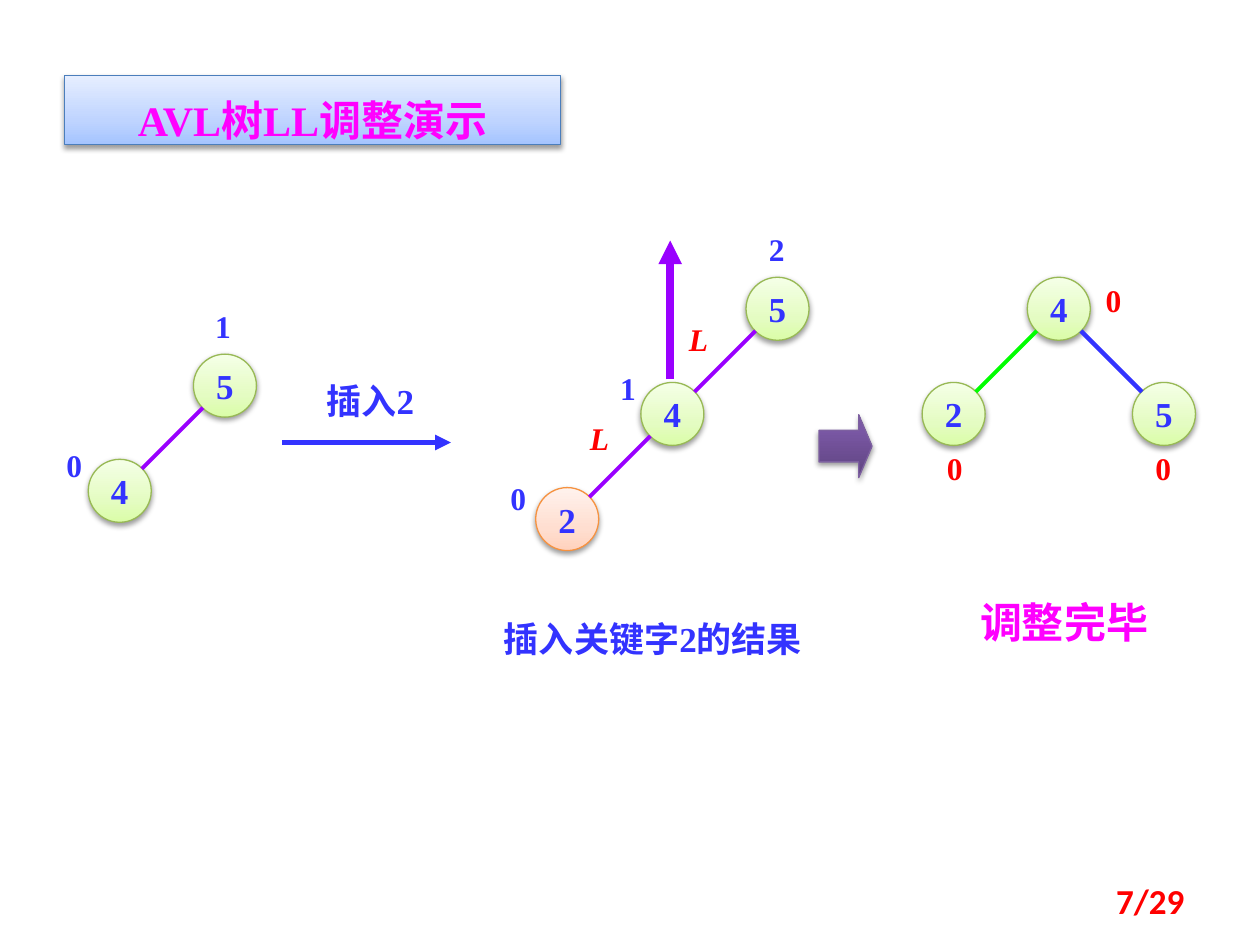
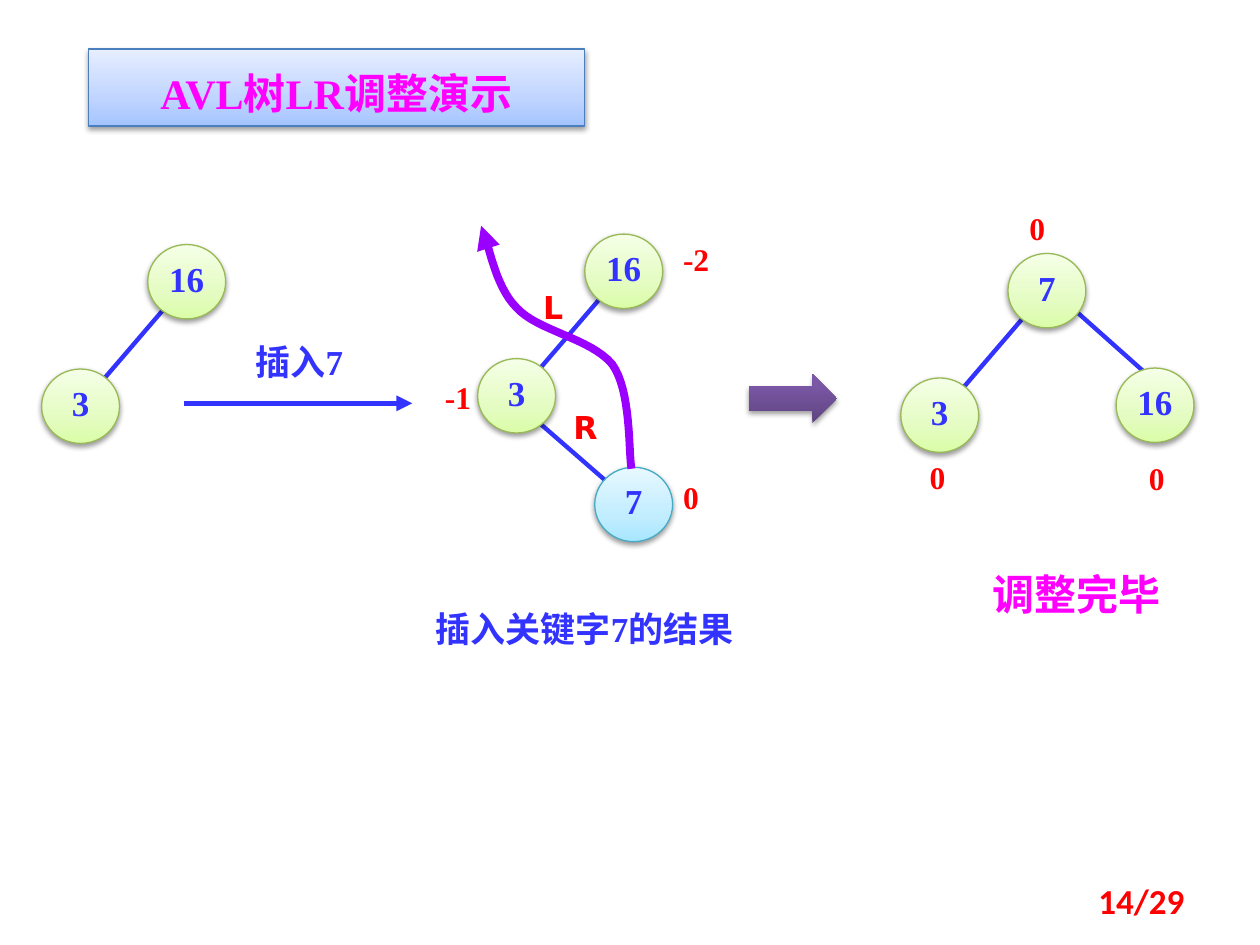
import pptx
import pptx.util
import pptx.dml.color
import pptx.enum.shapes
import pptx.enum.text
import pptx.oxml
import pptx.oxml.ns
import lxml.etree

Cm, Pt = pptx.util.Cm, pptx.util.Pt
SHAPE = pptx.enum.shapes.MSO_SHAPE
ALIGN = pptx.enum.text.PP_ALIGN
ANCHOR = pptx.enum.text.MSO_ANCHOR
AUTO = pptx.enum.text.MSO_AUTO_SIZE

COLORS = {
    "blue": "3333FF", "red": "FF0000", "magenta": "FF00FF",
    "purple": "9900FF", "green": "00FF00", "shadow": "000000",
}
GLOSS = {
    "title": ("4B7EBC", [(0, "A4C4FF"), (35, "BFD4FF"), (100, "E6EEFF")]),
    "lime": ("98B955", [(0, "DAFDA7"), (35, "E4FCC2"), (100, "F5FFE7")]),
    "peach": ("F69240", [(0, "FFD2BD"), (35, "FFDED0"), (100, "FFF2ED")]),
    "sky": ("46AAC5", [(0, "A7E6FF"), (35, "C1EDFF"), (100, "E7F8FF")]),
    "violet": ("7D60A0", [(0, "5F4480"), (80, "7B58A6"), (100, "7C57A8")]),
}
SERIF, SANS, CJK = "Times New Roman", "DejaVu Sans", "Noto Sans CJK SC"
STEP = 2.12

SMALL = {
    "size": (1.27, 1.27), "label_w": 0.79, "edges_first": False,
    "frame": {"vertical_anchor": ANCHOR.MIDDLE, "word_wrap": False},
    "para": {},
}
LARGE = {
    "size": (1.57, 1.5), "label_w": 1.19, "edges_first": True,
    "frame": {"vertical_anchor": ANCHOR.TOP, "word_wrap": True, "margin_left": 0,
              "margin_right": 0, "margin_top": Cm(0.2), "margin_bottom": 0},
    "para": {"line_spacing": 0.8},
}


def rgb(name):
    return pptx.dml.color.RGBColor.from_string(COLORS.get(name, name))


def sub(parent, tag, **attrs):
    return lxml.etree.SubElement(parent, pptx.oxml.ns.qn(tag), attrs)


def assign(target, values):
    for name, value in values.items():
        setattr(target, name, value)


def write(sp, text, size, color, font=SERIF, italic=False, frame=None, para=None):
    tf = sp.text_frame
    assign(tf, {"word_wrap": True, "auto_size": AUTO.SHAPE_TO_FIT_TEXT, **(frame or {})})
    p = tf.paragraphs[0]
    assign(p, para or {})
    r = p.add_run()
    r.text = text
    assign(r.font, {"name": font, "size": Pt(size), "bold": True})
    if italic:
        r.font.italic = True
    r.font.color.rgb = rgb(color)
    if not text.isascii():
        sub(r.font._element, "a:ea", typeface=CJK)


def text_box(slide, x, y, w, h, text, size, color, **options):
    sp = slide.shapes.add_textbox(Cm(x), Cm(y), Cm(w), Cm(h))
    write(sp, text, size, color, **options)
    return sp


def glossy(slide, kind, x, y, w, h, look, outlined=True):
    line, stops = GLOSS[look]
    sp = slide.shapes.add_shape(kind, Cm(x), Cm(y), Cm(w), Cm(h))
    sp.fill.gradient()
    sp.fill.gradient_angle = 90
    spPr = sp._element.spPr
    gs_list = spPr.find(".//" + pptx.oxml.ns.qn("a:gsLst"))
    gs_list.clear()
    for pos, color in stops:
        sub(sub(gs_list, "a:gs", pos=str(pos * 1000)), "a:srgbClr", val=color)
    if outlined:
        sp.line.color.rgb = rgb(line)
        sp.line.width = Pt(0.75)
    else:
        sp.line.fill.background()
    sp.shadow.inherit = False
    effects = spPr.find(pptx.oxml.ns.qn("a:effectLst"))
    outer = sub(effects, "a:outerShdw", blurRad=str(Pt(3.1)), dist=str(Pt(1.6)),
                dir="5400000", rotWithShape="0")
    sub(sub(outer, "a:srgbClr", val=COLORS["shadow"]), "a:alpha", val="38000")
    return sp


def stroke(sp, color, width, arrow):
    sp.line.color.rgb = rgb(color)
    sp.line.width = Pt(width)
    if arrow:
        sub(sp.line._get_or_add_ln(), "a:tailEnd", type="triangle")


def line(slide, x1, y1, x2, y2, color, width, arrow=False):
    c = slide.shapes.add_connector(pptx.enum.shapes.MSO_CONNECTOR.STRAIGHT,
                                   Cm(x1), Cm(y1), Cm(x2), Cm(y2))
    stroke(c, color, width, arrow)
    sub(c._element.spPr, "a:effectLst")


def bezier(a, b, c, d, t):
    u = 1 - t
    return tuple(u**3 * i + 3 * u * u * t * j + 3 * u * t * t * k + t**3 * m
                 for i, j, k, m in zip(a, b, c, d))


def curved_arrow(slide, x, y, start, segments, color, width, steps=16):
    points = [start]
    for b, c, d in segments:
        a = points[-1]
        points += [bezier(a, b, c, d, i / steps) for i in range(1, steps + 1)]
    points = [(Cm(x + px), Cm(y + py)) for px, py in points]
    fb = slide.shapes.build_freeform(*points[0])
    fb.add_line_segments(points[1:], close=False)
    sp = fb.convert_to_shape()
    sp.fill.background()
    sp.shadow.inherit = False
    stroke(sp, color, width, True)


def draw_nodes(slide, x, y, nodes, style):
    for key, dx, dy, look in nodes:
        sp = glossy(slide, SHAPE.OVAL, x + dx, y + dy, *style["size"], look)
        write(sp, key, 20, "blue", frame={"auto_size": AUTO.NONE, **style["frame"]},
              para={"alignment": ALIGN.CENTER, **style["para"]})


def draw_edges(slide, x, y, edges):
    for x1, y1, x2, y2, color, width in edges:
        line(slide, x + x1, y + y1, x + x2, y + y2, color, width)


def tree(slide, x, y, style, nodes, edges, balances, color, turns=(), turn_font=None):
    if style["edges_first"]:
        draw_edges(slide, x, y, edges)
    draw_nodes(slide, x, y, nodes, style)
    if not style["edges_first"]:
        draw_edges(slide, x, y, edges)
    for text, dx, dy in balances:
        text_box(slide, x + dx, y + dy, style["label_w"], 1.02, text, 18, color)
    for text, dx, dy in turns:
        text_box(slide, x + dx, y + dy, style["label_w"], 1.02, text, 18, "red", **turn_font)


def insert_arrow(slide, x, y, w, label, label_dx):
    text_box(slide, x + label_dx, y - 1.4, 2.75, 1.09, label, 20, "blue")
    line(slide, x, y, x + w, y, "blue", 3, arrow=True)


def result_arrow(slide, x, y, w, h, head, outlined):
    sp = glossy(slide, SHAPE.RIGHT_ARROW, x, y, w, h, "violet", outlined)
    sp.adjustments[1] = head


def title(slide, x, y, h, text):
    sp = glossy(slide, SHAPE.RECTANGLE, x, y, 10, h, "title")
    write(sp, text, 24, "magenta", frame={"vertical_anchor": ANCHOR.TOP},
          para={"alignment": ALIGN.CENTER, "line_spacing": 1.25})


def captions(slide, inserted_at, inserted, done_at, done_font):
    text_box(slide, *inserted_at, 7.1, 1.09, inserted, 20, "blue")
    text_box(slide, *done_at, 4.8, 1.27, "调整完毕", 24, "magenta", font=done_font,
             para={"alignment": ALIGN.CENTER})


def page_number(slide, number):
    text_box(slide, 18.21, 17.65, 5.92, 1.02, f"{number}/29", 20, "red", font="Calibri",
             frame={"auto_size": AUTO.NONE, "vertical_anchor": ANCHOR.MIDDLE},
             para={"alignment": ALIGN.RIGHT})


def left_edge(col, row, color="purple"):
    x, y = col * STEP, row * STEP
    return x + 2.31, y + 1.08, x + 1.08, y + 2.31, color, 2.25


def ll_slide(prs):
    slide = prs.slides.add_slide(prs.slide_layouts[6])
    title(slide, 1.3, 1.52, 1.4, "AVL树LL调整演示")
    result_arrow(slide, 16.51, 8.36, 1.07, 1.27, 0.25, True)
    tree(slide, 18.59, 5.59, SMALL,
         [("4", STEP, 0, "lime"), ("2", 0, STEP, "lime"), ("5", 2 * STEP, STEP, "lime")],
         [left_edge(0, 0, "green"), (3.2, 1.08, 4.43, 2.31, "blue", 2.5)],
         [("0", 0.25, 3.33), ("0", 4.45, 3.33), ("0", 3.45, -0.05)], "red")
    tree(slide, 1.78, 7.14, SMALL,
         [("5", STEP, 0, "lime"), ("4", 0, STEP, "lime")],
         [left_edge(0, 0)],
         [("0", -0.69, 1.73), ("1", 2.31, -1.07)], "blue")
    insert_arrow(slide, 5.69, 8.92, 3.4, "插入2", 0.64)
    tree(slide, 10.8, 5.59, SMALL,
         [("5", 2 * STEP, 0, "lime"), ("4", STEP, STEP, "lime"), ("2", 0, 2 * STEP, "peach")],
         [left_edge(1, 0), left_edge(0, 1)],
         [("0", -0.76, 3.94), ("1", 1.45, 1.73), ("2", 4.45, -1.07)], "blue",
         [("L", 2.84, 0.74), ("L", 0.84, 2.74)], {"italic": True})
    captions(slide, (9.91, 12.32), "插入关键字2的结果", (19.05, 11.91), SERIF)
    line(slide, 13.51, 7.65, 13.51, 4.85, "purple", 4.5, arrow=True)
    page_number(slide, 7)


def lr_slide(prs):
    slide = prs.slides.add_slide(prs.slide_layouts[6])
    to_left = (2.48, 1.28, 1.03, 2.97, "blue", 2.5)
    tree(slide, 18.16, 5.11, LARGE,
         [("7", 2.16, 0, "lime"), ("3", 0, 2.51, "lime"), ("16", 4.34, 2.31, "lime")],
         [(3.56, 1.19, 5.11, 2.57, "blue", 2.5), to_left],
         [("0", 2.34, -1.02), ("0", 0.33, 3.99), ("0", 4.75, 4.01)], "red")
    tree(slide, 0.84, 4.93, LARGE,
         [("16", 2.14, 0, "lime"), ("3", 0, 2.51, "lime")], [to_left], [], "red")
    tree(slide, 9.63, 4.72, LARGE,
         [("16", 2.16, 0, "lime"), ("3", 0, 2.51, "lime"), ("7", 2.36, 4.7, "sky")],
         [(1.04, 3.63, 2.59, 4.98, "blue", 2.5), to_left],
         [("0", 3.89, 4.8), ("-2", 3.89, 0), ("-1", -0.91, 2.77)], "red",
         [("R", 1.68, 3.38), ("L", 1.07, 0.97)], {"font": SANS})
    insert_arrow(slide, 3.71, 8.13, 4.6, "插入7", 1.19)
    captions(slide, (8.53, 12.12), "插入关键字7的结果", (19.3, 11.33), CJK)
    curved_arrow(slide, 9.7, 4.55, (3.03, 4.9),
                 [((2.97, 4.57), (3.03, 3.32), (2.64, 2.79)),
                  ((2.19, 2.26), (1.15, 2.13), (0.71, 1.65)),
                  ((0.26, 1.19), (0.16, 0.35), (0, 0))], "purple", 4.5)
    title(slide, 1.78, 0.99, 1.55, "AVL树LR调整演示")
    result_arrow(slide, 15.09, 7.54, 1.78, 0.99, 0.5, False)
    page_number(slide, 14)


def main():
    prs = pptx.Presentation()
    prs.slide_width, prs.slide_height = Cm(25.4), Cm(19.05)
    ll_slide(prs)
    lr_slide(prs)
    prs.save("out.pptx")


if __name__ == "__main__":
    main()
